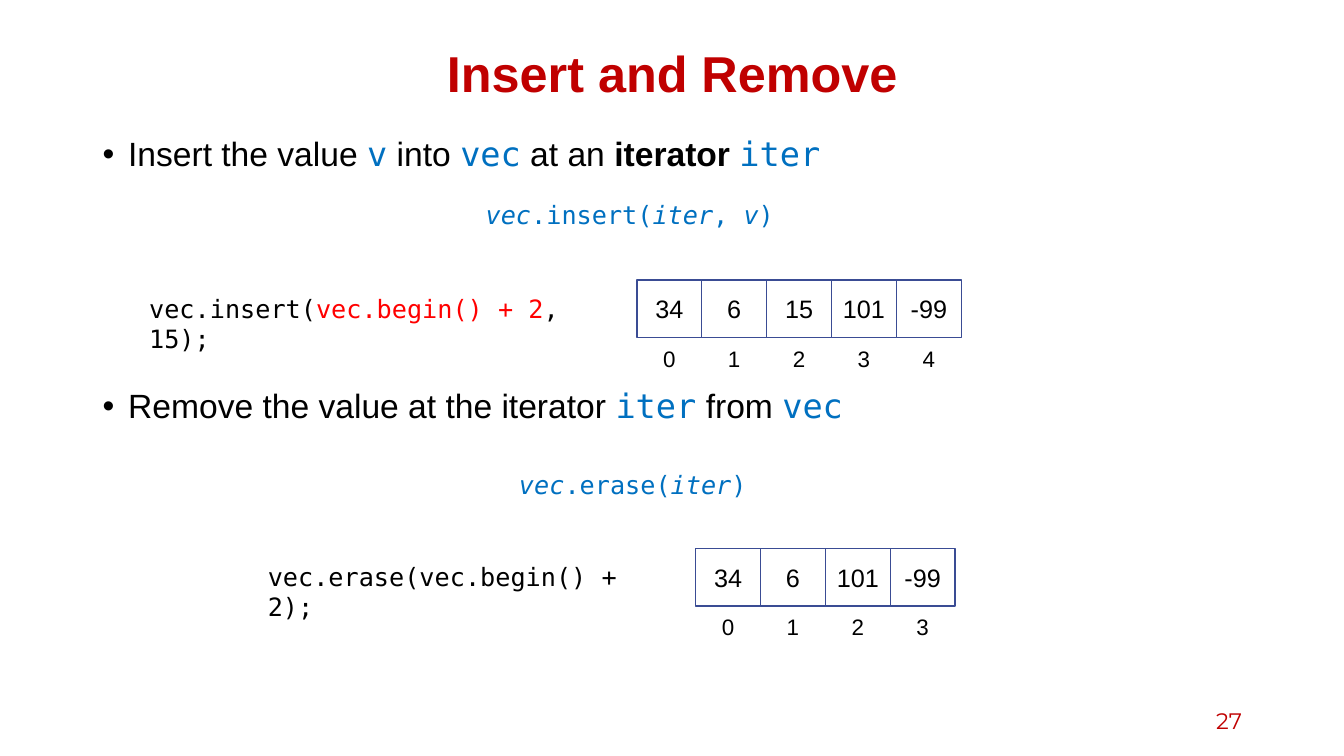
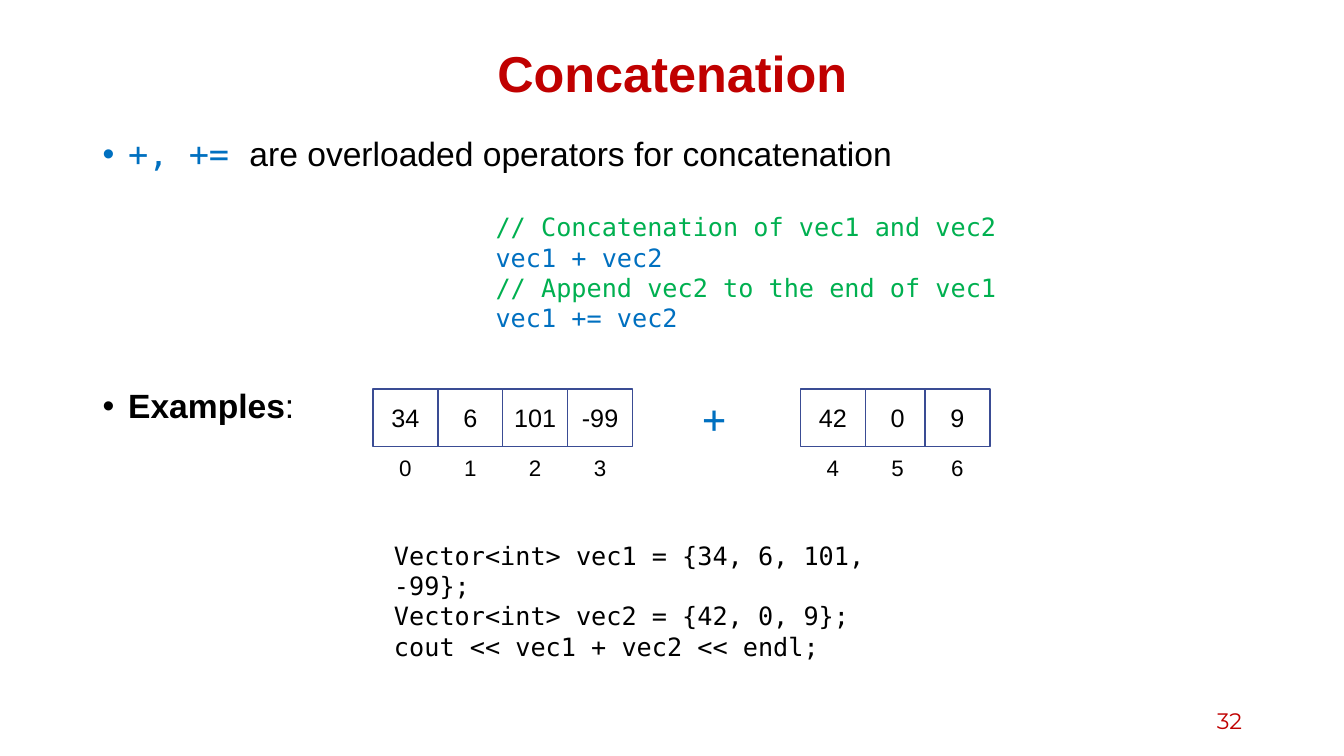
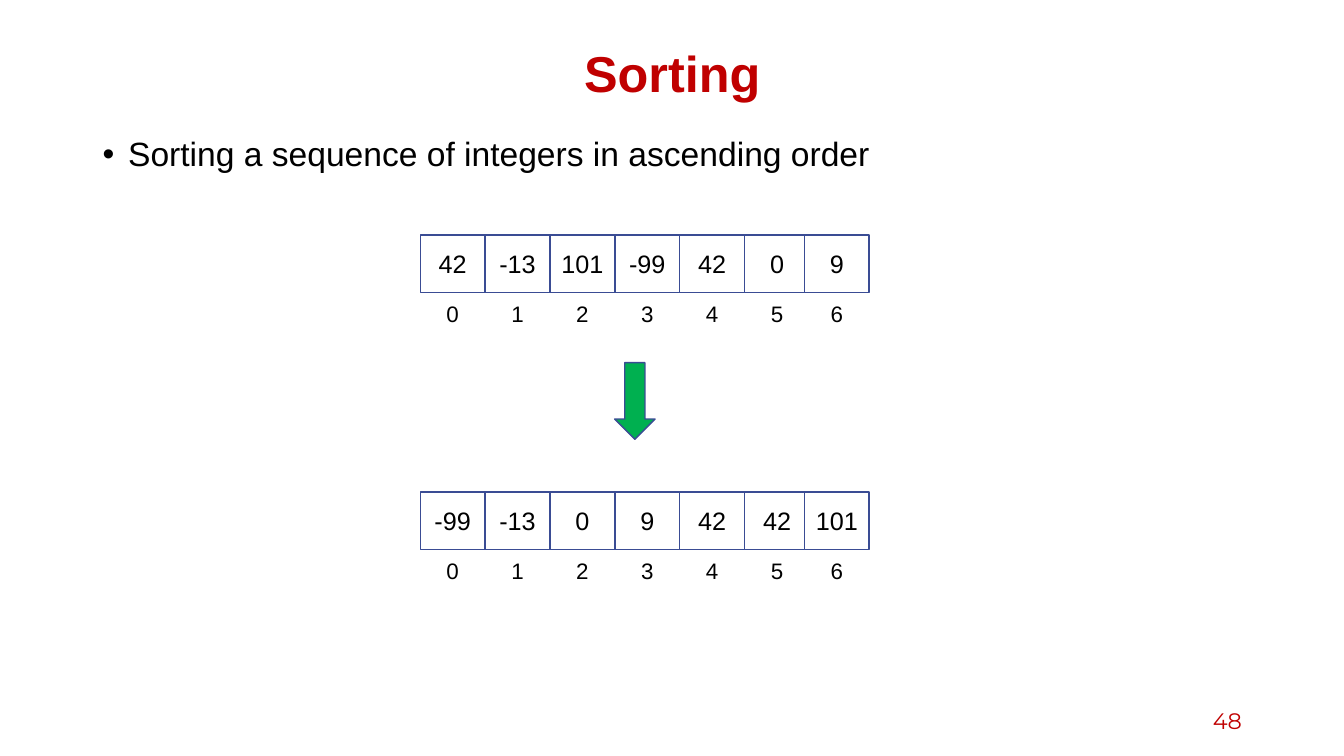
from dataclasses import dataclass

from pptx import Presentation
from pptx.dml.color import RGBColor
from pptx.enum.shapes import MSO_SHAPE as Shape
from pptx.enum.text import MSO_ANCHOR as Anchor, PP_ALIGN as Align
from pptx.oxml import parse_xml
from pptx.oxml.ns import nsdecls
from pptx.util import Cm, Pt


@dataclass(frozen=True)
class Theme:
    sans: str = "Arial"
    mono: str = "DejaVu Sans Mono"
    number_font: str = "Montserrat"
    title: str = "C00000"
    text: str = "000000"
    code: str = "0070C0"
    comment: str = "00B050"
    highlight: str = "FF0000"
    cell_fill: str = "FFFFFF"
    outline: str = "3A4C94"
    title_size: int = 36
    operator_size: int = 28
    bullet_size: int = 24
    code_size: int = 18
    small_size: int = 16


theme = Theme()

# Run styles: font, colour, bold, italic
STYLES = {
    "title": (theme.sans, theme.title, True, False),
    "number": (theme.number_font, theme.title, False, False),
    "text": (theme.sans, theme.text, False, False),
    "strong": (theme.sans, theme.text, True, False),
    "code": (theme.mono, theme.code, False, False),
    "variable": (theme.mono, theme.code, False, True),
    "comment": (theme.mono, theme.comment, False, False),
    "listing": (theme.mono, theme.text, False, False),
    "highlight": (theme.mono, theme.highlight, False, False),
}

# Array cells, in centimetres; the cell with index 6 overlaps its neighbour
CELL_WIDTH, CELL_HEIGHT, OVERLAP = 1.635, 1.45, 0.13
INDEX_WIDTH, INDEX_HEIGHT, INDEX_DROP = 1.02, 0.94, 1.51


def write(shape, paragraphs, size, align=Align.LEFT, anchor=Anchor.TOP):
    """Fill a shape with paragraphs, each a list of (text, style) runs."""
    text_frame = shape.text_frame
    text_frame.word_wrap = True
    text_frame.vertical_anchor = anchor
    for position, runs in enumerate(paragraphs):
        paragraph = text_frame.add_paragraph() if position else text_frame.paragraphs[0]
        paragraph.alignment = align
        for text, style in runs:
            run = paragraph.add_run()
            run.text = text
            font = run.font
            font.name, color, font.bold, font.italic = STYLES[style]
            font.color.rgb = RGBColor.from_string(color)
            font.size = Pt(size)
    return text_frame


def add_array(slide, left, top, values, first_index=0):
    """Draw a row of value cells with their indices below, as one group."""
    shapes = slide.shapes.add_group_shape().shapes
    for position, value in enumerate(values):
        index = first_index + position
        cell_left = left + position * CELL_WIDTH - (OVERLAP if index == 6 else 0)
        cell = shapes.add_shape(Shape.RECTANGLE, Cm(cell_left), Cm(top),
                                Cm(CELL_WIDTH), Cm(CELL_HEIGHT))
        cell.shadow.inherit = False
        cell.fill.solid()
        cell.fill.fore_color.rgb = RGBColor.from_string(theme.cell_fill)
        cell.line.color.rgb = RGBColor.from_string(theme.outline)
        cell.line.width = Pt(1)
        write(cell, [[(str(value), "text")]], theme.code_size, Align.CENTER, Anchor.MIDDLE)
        label = shapes.add_textbox(Cm(cell_left + (CELL_WIDTH - INDEX_WIDTH) / 2),
                                   Cm(top + INDEX_DROP), Cm(INDEX_WIDTH), Cm(INDEX_HEIGHT))
        write(label, [[(str(index), "text")]], theme.small_size, Align.CENTER)


# Content: code boxes are (left, top, width, height, size, paragraphs),
# arrays are (left, top, values, first index)
PAGES = [
    {
        "title": "Insert and Remove",
        "number": "27",
        "bullets": [
            [("Insert the value ", "text"), ("v", "code"), (" into ", "text"), ("vec", "code"),
             (" at an ", "text"), ("iterator ", "strong"), ("iter", "code")],
            [("Remove the value at the iterator ", "text"), ("iter", "code"),
             (" from ", "text"), ("vec", "code")],
        ],
        "code": [
            (11.99, 4.9, 8.64, 1.02, theme.code_size,
             [[("vec", "variable"), (".insert(", "code"), ("iter", "variable"),
               (", ", "code"), ("v", "variable"), (")", "code")]]),
            (3.51, 7.26, 11.79, 1.02, theme.code_size,
             [[("vec.insert(", "listing"), ("vec.begin() + 2", "highlight"),
               (", 15);", "listing")]]),
            (12.83, 11.71, 6.48, 1.02, theme.code_size,
             [[("vec", "variable"), (".erase(", "code"), ("iter", "variable"), (")", "code")]]),
            (6.5, 14.02, 10.46, 1.02, theme.code_size,
             [[("vec.erase(vec.begin() + 2);", "listing")]]),
        ],
        "arrays": [(16.05, 7.06, [34, 6, 15, 101, -99], 0),
                   (17.53, 13.82, [34, 6, 101, -99], 0)],
    },
    {
        "title": "Concatenation",
        "number": "32",
        "bullets": [
            [("+, += ", "code"), ("are overloaded operators for concatenation", "text")],
            [("Examples", "strong"), (":", "text")],
        ],
        "code": [
            (12.24, 5.21, 13.67, 3.33, theme.code_size,
             [[("// Concatenation of vec1 and vec2", "comment")],
              [("vec1 + vec2", "code")],
              [("// Append vec2 to the end of vec1", "comment")],
              [("vec1 += vec2", "code")]]),
            (17.45, 9.8, 1.63, 1.45, theme.operator_size, [[("+", "code")]]),
            (9.68, 13.49, 14.02, 2.57, theme.code_size,
             [[("Vector<int> vec1 = {34, 6, 101, -99};", "listing")],
              [("Vector<int> vec2 = {42, 0, 9};", "listing")],
              [("cout << vec1 + vec2 << endl;", "listing")]]),
        ],
        "arrays": [(9.4, 9.8, [34, 6, 101, -99], 0),
                   (20.17, 9.8, [42, 0, 9], 4)],
    },
    {
        "title": "Sorting",
        "number": "48",
        "bullets": [[("Sorting a sequence of integers in ascending order", "text")]],
        "code": [],
        "arrays": [(10.59, 5.92, [42, -13, 101, -99, 42, 0, 9], 0),
                   (10.59, 12.4, [-99, -13, 0, 9, 42, 42, 101], 0)],
    },
]

presentation = Presentation()
presentation.slide_width, presentation.slide_height = Cm(33.87), Cm(19.05)
blank_layout = presentation.slide_layouts[6]

for page in PAGES:
    slide = presentation.slides.add_slide(blank_layout)

    # Title
    title = slide.shapes.add_textbox(Cm(2.34), Cm(1.02), Cm(29.21), Cm(1.78))
    text_frame = write(title, [[(page["title"], "title")]], theme.title_size,
                       Align.CENTER, Anchor.MIDDLE)
    text_frame.paragraphs[0].line_spacing = 0.9

    # Bullets, spaced to leave room for the code and arrays between them
    body = slide.shapes.add_textbox(Cm(2.34), Cm(3.35), Cm(29.21), Cm(14))
    text_frame = write(body, page["bullets"], theme.bullet_size)
    for position, paragraph in enumerate(text_frame.paragraphs):
        properties = paragraph._p.get_or_add_pPr()
        properties.set("marL", str(Cm(0.64)))
        properties.set("indent", str(-Cm(0.64)))
        properties.append(parse_xml(f'<a:buFont {nsdecls("a")} typeface="{theme.sans}"/>'))
        properties.append(parse_xml(f'<a:buChar {nsdecls("a")} char="•"/>'))
        paragraph.line_spacing = 0.9
        if position:
            paragraph.space_before = Pt(154)

    # Page number
    number = slide.shapes.add_textbox(Cm(23.93), Cm(17.65), Cm(7.62), Cm(1.02))
    write(number, [[(page["number"], "number")]], theme.small_size, Align.RIGHT, Anchor.MIDDLE)

    # Code and arrays
    for left, top, width, height, size, paragraphs in page["code"]:
        code_box = slide.shapes.add_textbox(Cm(left), Cm(top), Cm(width), Cm(height))
        write(code_box, paragraphs, size)
    for left, top, values, first_index in page["arrays"]:
        add_array(slide, left, top, values, first_index)

# Arrow from the unsorted to the sorted array, on the last slide
arrow = slide.shapes.add_shape(Shape.DOWN_ARROW, Cm(15.49), Cm(9.14), Cm(1.02), Cm(1.93))
arrow.shadow.inherit = False
arrow.fill.solid()
arrow.fill.fore_color.rgb = RGBColor.from_string(theme.comment)
arrow.line.color.rgb = RGBColor.from_string(theme.outline)
arrow.line.width = Pt(1)

presentation.save("out.pptx")
